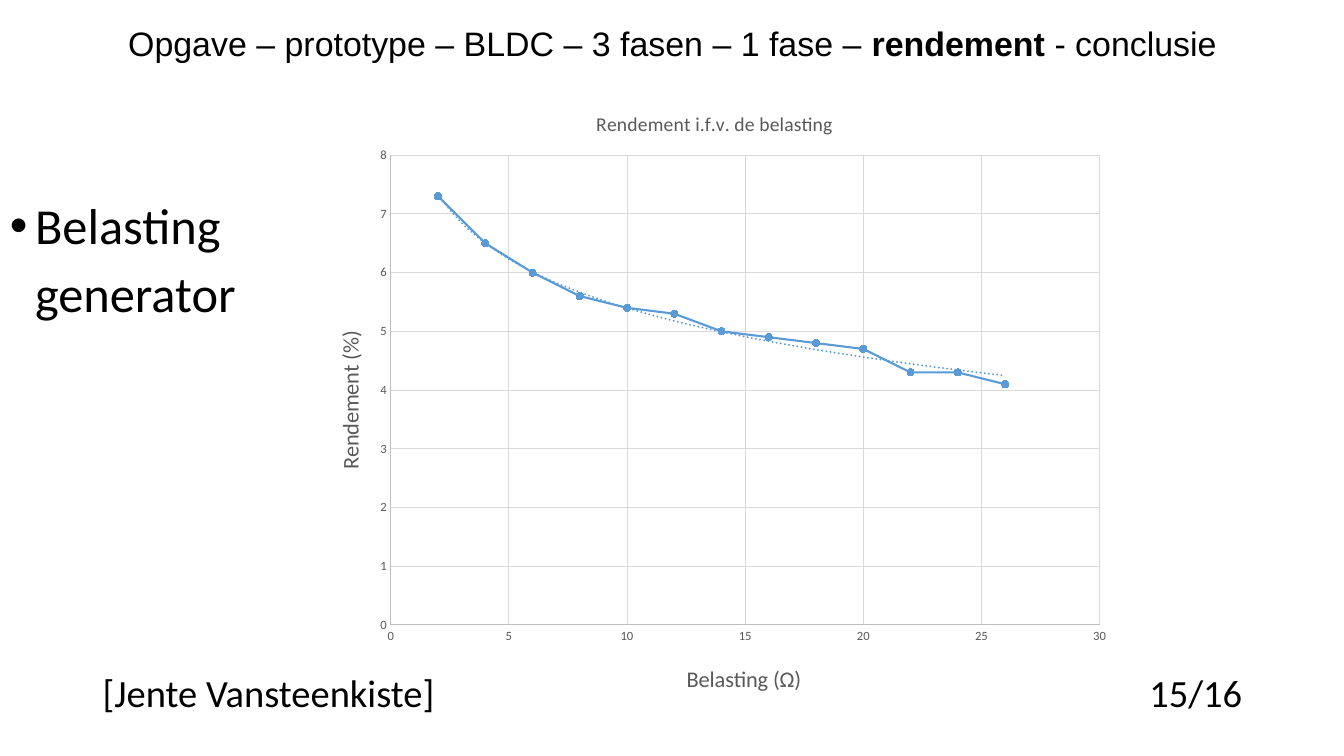
"""Build the slide on generator efficiency as a function of load."""
from lxml import etree
from pptx import Presentation
from pptx import util as u
from pptx.chart.data import XyChartData
from pptx.dml.color import RGBColor
from pptx.enum import chart as ch, dml, text
from pptx.oxml import parse_xml
from pptx.oxml.ns import nsdecls, qn

BLACK = RGBColor(0x00, 0x00, 0x00)
GREY = RGBColor(0x59, 0x59, 0x59)
AXIS = RGBColor(0xBF, 0xBF, 0xBF)
GRID = RGBColor(0xD9, 0xD9, 0xD9)
BLUE = RGBColor(0x5B, 0x9B, 0xD5)

LOADS = range(26, 0, -2)
EFFICIENCIES = [4.1, 4.3, 4.3, 4.7, 4.8, 4.9, 5, 5.3, 5.4, 5.6, 6, 6.5, 7.3]


def style_font(font, size, color, name="Calibri", bold=False):
    font.size, font.name, font.bold = u.Pt(size), name, bold
    font.color.rgb = color


def style_line(line, color, width=0.75):
    line.color.rgb = color
    line.width = u.Pt(width)


def fill_line_of_text(sp, runs, size, align, font="Calibri"):
    tf = sp.text_frame
    tf.word_wrap = True
    tf.auto_size = text.MSO_AUTO_SIZE.NONE
    tf.vertical_anchor = text.MSO_ANCHOR.MIDDLE
    p = tf.paragraphs[0]
    p.alignment, p.line_spacing = align, 0.7
    for words, bold in runs:
        r = p.add_run()
        r.text = words
        style_font(r.font, size, BLACK, font, bold)


def add_title(s):
    sp = s.shapes.title
    sp.left, sp.top = u.Inches(0.92), u.Inches(0.26)
    sp.width, sp.height = u.Inches(11.5), u.Inches(0.43)
    runs = [("Opgave – prototype – BLDC – 3 fasen – 1 fase – ", False),
            ("rendement", True), (" - conclusie", False)]
    fill_line_of_text(sp, runs, 24.2, text.PP_ALIGN.CENTER, "Arial")


def add_footer(s, words, left, width, align):
    sp = s.shapes.add_textbox(u.Inches(left), u.Inches(6.71), u.Inches(width), u.Inches(0.43))
    fill_line_of_text(sp, [(words, False)], 27.5, align)


def add_bullet(s, lines):
    sp = s.shapes.add_textbox(u.Inches(0), u.Inches(1.94), u.Inches(3.04), u.Inches(1.59))
    tf = sp.text_frame
    tf.word_wrap = True
    tf.text = "\n".join(lines)
    for i, p in enumerate(tf.paragraphs):
        p.line_spacing, p.space_before = 0.9, u.Pt(10)
        style_font(p.runs[0].font, 36, BLACK)
        pPr = p._p.get_or_add_pPr()
        pPr.set("marL", str(u.Inches(0.25)))
        pPr.set("indent", str(0 if i else u.Inches(-0.25)))
        if i == 0:
            etree.SubElement(pPr, qn("a:buFont")).set("typeface", "Arial")
            etree.SubElement(pPr, qn("a:buChar")).set("char", "•")


def set_layout(element, index, inner=False, **fractions):
    for old in element.findall(qn("c:layout")):
        element.remove(old)
    values = {"xMode": "edge", "yMode": "edge", **fractions}
    if inner:
        values = {"layoutTarget": "inner", **values}
    tags = "".join(f'<c:{tag} val="{value}"/>' for tag, value in values.items())
    element.insert(index, parse_xml(
        f'<c:layout {nsdecls("c")}><c:manualLayout>{tags}</c:manualLayout></c:layout>'))


def set_chart_text(title, words, size, x, y):
    title.text_frame.text = words
    style_font(title.text_frame.paragraphs[0].runs[0].font, size, GREY)
    set_layout(title._element, 1, x=x, y=y)


def style_axis(axis, words, maximum, step, x, y):
    axis.minimum_scale, axis.maximum_scale, axis.major_unit = 0, maximum, step
    axis.major_tick_mark = axis.minor_tick_mark = ch.XL_TICK_MARK.NONE
    axis.has_major_gridlines = True
    style_line(axis.major_gridlines.format.line, GRID)
    style_line(axis.format.line, AXIS)
    style_font(axis.tick_labels.font, 9, GREY)
    axis.tick_labels.number_format = "General"
    axis.tick_labels.number_format_is_linked = False
    set_chart_text(axis.axis_title, words, 16, x, y)


def add_log_trend(series):
    trend = parse_xml(
        f'<c:trendline {nsdecls("c", "a")}><c:spPr><a:ln w="{u.Pt(1.5)}" cap="rnd"><a:solidFill>'
        f'<a:srgbClr val="{BLUE}"/></a:solidFill><a:prstDash val="sysDot"/></a:ln></c:spPr>'
        '<c:trendlineType val="log"/><c:dispRSqr val="0"/><c:dispEq val="0"/></c:trendline>')
    series._element.find(qn("c:xVal")).addprevious(trend)


def add_efficiency_chart(s):
    data = XyChartData()
    points = data.add_series("Rendement")
    for load, efficiency in zip(LOADS, EFFICIENCIES):
        points.add_data_point(load, efficiency)
    chart = s.shapes.add_chart(
        ch.XL_CHART_TYPE.XY_SCATTER_LINES, u.Inches(3.04), u.Inches(0.81),
        u.Inches(8.11), u.Inches(6.24), data).chart
    style_font(chart.font, 10, BLACK)
    chart.has_legend = False
    chart.has_title = True
    set_chart_text(chart.chart_title, "Rendement i.f.v. de belasting", 14, 0.35, 0.04)
    style_axis(chart.category_axis, "Belasting (Ω)", 30, 5, 0.46, 0.92)
    style_axis(chart.value_axis, "Rendement (%)", 8, 1, 0.03, 0.39)

    plot = chart.plots[0]
    plot.vary_by_categories = False
    series = plot.series[0]
    series.smooth = False
    style_line(series.format.line, BLUE, 1.5)
    series.format.line.dash_style = dml.MSO_LINE.SOLID
    marker = series.marker
    marker.style, marker.size = ch.XL_MARKER_STYLE.CIRCLE, 5
    marker.format.fill.solid()
    marker.format.fill.fore_color.rgb = BLUE
    style_line(marker.format.line, BLUE)
    add_log_trend(series)
    set_layout(plot._element.getparent(), 0, inner=True, x=0.103, y=0.117, w=0.867, h=0.747)


def main():
    prs = Presentation()
    prs.slide_width, prs.slide_height = u.Inches(13.33), u.Inches(7.5)
    s = prs.slides.add_slide(prs.slide_layouts[5])
    add_title(s)
    add_bullet(s, ["Belasting", "generator"])
    add_footer(s, "[Jente Vansteenkiste]", 0.92, 8.91, text.PP_ALIGN.LEFT)
    add_footer(s, "15/16", 10.52, 1.9, text.PP_ALIGN.RIGHT)
    add_efficiency_chart(s)
    prs.save("out.pptx")


if __name__ == "__main__":
    main()
